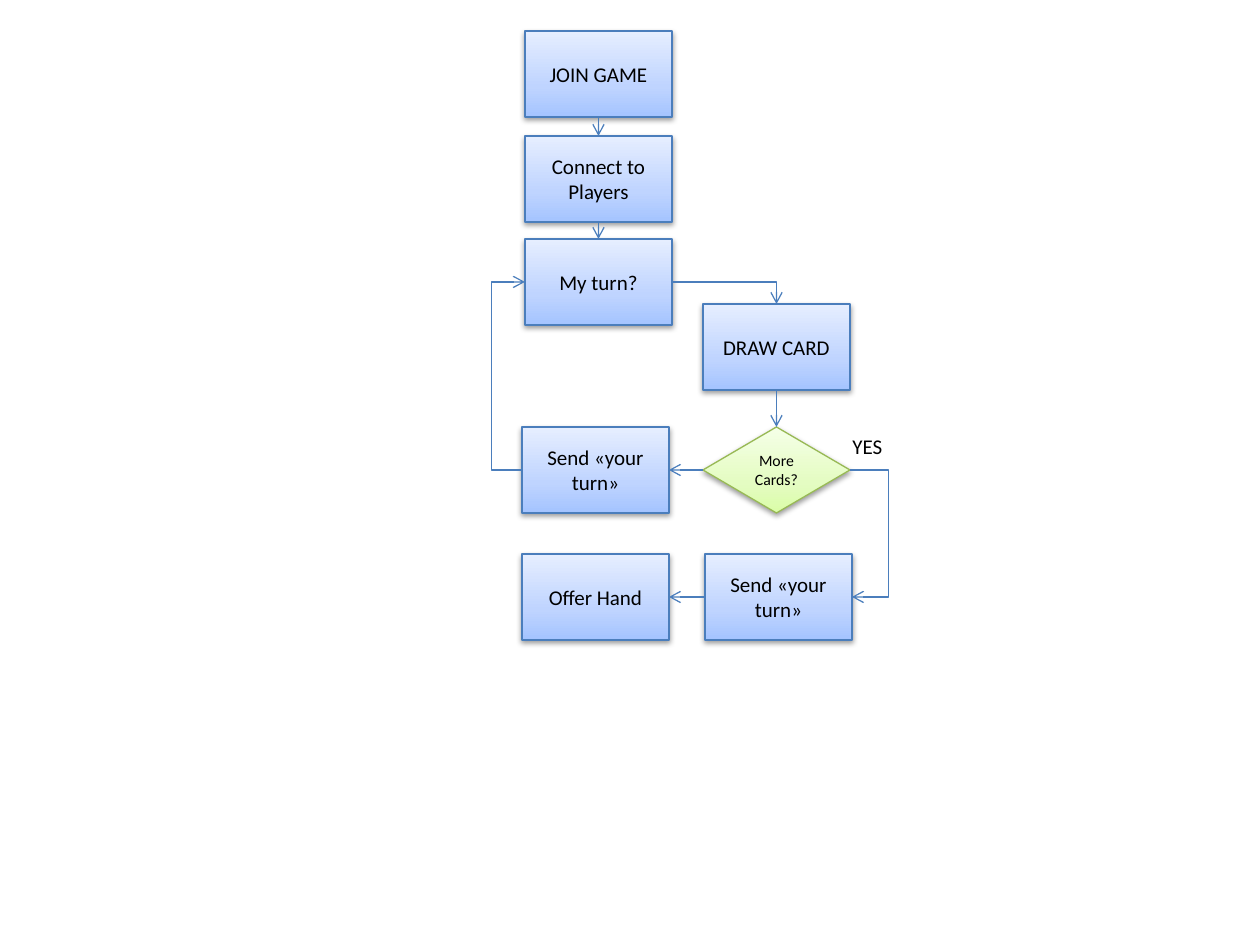
from dataclasses import dataclass

from lxml.etree import SubElement
from pptx import Presentation
from pptx.dml.color import RGBColor
from pptx.enum.shapes import MSO_CONNECTOR, MSO_SHAPE
from pptx.enum.text import MSO_ANCHOR, MSO_AUTO_SIZE, PP_ALIGN
from pptx.oxml.ns import qn
from pptx.util import Inches, Pt

PX = Inches(1) // 126
TOP, LEFT, BOTTOM, RIGHT = range(4)


@dataclass(frozen=True)
class Theme:
    font: str = "Calibri"
    text: str = "000000"
    label_size: int = 12
    decision_size: int = 9
    line_width: float = 0.75
    step_line: str = "4B7EBC"
    step_stops: tuple = ((0, "A4C4FF"), (35, "BFD4FF"), (100, "E6EEFF"))
    decision_line: str = "98B955"
    decision_stops: tuple = ((0, "DAFDA7"), (35, "E4FCC2"), (100, "F5FFE7"))


def add_color(parent, rgb):
    return SubElement(parent, qn("a:srgbClr"), val=rgb)


class Flowchart:
    NODE_WIDTH, NODE_HEIGHT = 147, 86

    def __init__(self, slide, theme):
        self.slide = slide
        self.theme = theme

    def step(self, label, left, top):
        return self._node(MSO_SHAPE.RECTANGLE, label, left, top, self.theme.label_size,
                          self.theme.step_line, self.theme.step_stops)

    def decision(self, label, left, top):
        return self._node(MSO_SHAPE.DIAMOND, label, left, top, self.theme.decision_size,
                          self.theme.decision_line, self.theme.decision_stops)

    def _node(self, outline, label, left, top, size, line_color, stops):
        node = self.slide.shapes.add_shape(
            outline, left * PX, top * PX, self.NODE_WIDTH * PX, self.NODE_HEIGHT * PX)
        self._gradient(node, stops)
        self._stroke(node.line, line_color)
        self._shadow(node)
        node.text_frame.vertical_anchor = MSO_ANCHOR.MIDDLE
        self._write(node.text_frame, label, size, PP_ALIGN.CENTER)
        return node

    def caption(self, label, left, top, width, height):
        box = self.slide.shapes.add_textbox(left * PX, top * PX, width * PX, height * PX)
        box.text_frame.word_wrap = False
        box.text_frame.auto_size = MSO_AUTO_SIZE.SHAPE_TO_FIT_TEXT
        self._write(box.text_frame, label, self.theme.label_size, PP_ALIGN.LEFT)

    def arrow(self, source, source_side, target, target_side):
        return self._connect(MSO_CONNECTOR.STRAIGHT, source, source_side, target, target_side)

    def corner_arrow(self, source, source_side, target, target_side):
        """Arrow with a single right-angle bend."""
        arrow = self._connect(MSO_CONNECTOR.ELBOW, source, source_side, target, target_side)
        arrow._element.spPr.find(qn("a:prstGeom")).set("prst", "bentConnector2")

    def loop_arrow(self, source, source_side, target, target_side, via_x):
        """Arrow whose vertical run lies at via_x, outside both nodes."""
        arrow = self._connect(MSO_CONNECTOR.ELBOW, source, source_side, target, target_side)
        bend = (via_x * PX - arrow.begin_x) / (arrow.end_x - arrow.begin_x)
        geometry = arrow._element.spPr.find(qn("a:prstGeom"))
        guides = geometry.find(qn("a:avLst"))
        SubElement(guides, qn("a:gd"), name="adj1", fmla=f"val {round(bend * 100000)}")

    def _connect(self, kind, source, source_side, target, target_side):
        arrow = self.slide.shapes.add_connector(kind, 0, 0, 0, 0)
        arrow.begin_connect(source, source_side)
        arrow.end_connect(target, target_side)
        self._stroke(arrow.line, self.theme.step_line)
        SubElement(arrow.line._get_or_add_ln(), qn("a:tailEnd"), type="arrow")
        SubElement(arrow._element.spPr, qn("a:effectLst"))
        return arrow

    def _stroke(self, line, color):
        line.color.rgb = RGBColor.from_string(color)
        line.width = Pt(self.theme.line_width)

    def _gradient(self, node, stops):
        node.fill.gradient()
        node.fill.gradient_angle = 90
        stop_list = node._element.spPr.find(qn("a:gradFill")).find(qn("a:gsLst"))
        for default_stop in list(stop_list):
            stop_list.remove(default_stop)
        for percent, color in stops:
            add_color(SubElement(stop_list, qn("a:gs"), pos=str(percent * 1000)), color)

    def _shadow(self, node):
        effects = SubElement(node._element.spPr, qn("a:effectLst"))
        shadow = SubElement(effects, qn("a:outerShdw"), blurRad="40000", dist="20000",
                            dir="5400000", rotWithShape="0")
        SubElement(add_color(shadow, "000000"), qn("a:alpha"), val="38000")

    def _write(self, frame, label, size, alignment):
        frame.text = label
        paragraph = frame.paragraphs[0]
        paragraph.alignment = alignment
        paragraph.font.name = self.theme.font
        paragraph.font.size = Pt(size)
        paragraph.font.color.rgb = RGBColor.from_string(self.theme.text)


def main():
    presentation = Presentation()
    presentation.slide_width = Inches(10)
    presentation.slide_height = Inches(7.5)
    chart = Flowchart(presentation.slides.add_slide(presentation.slide_layouts[6]), Theme())

    join = chart.step("JOIN GAME", 525, 31)
    connect = chart.step("Connect to Players", 525, 136)
    my_turn = chart.step("My turn?", 525, 239)
    draw = chart.step("DRAW CARD", 703, 304)
    more_cards = chart.decision("More Cards?", 703, 427)
    pass_turn = chart.step("Send «your turn»", 522, 427)
    send_turn = chart.step("Send «your turn»", 705, 554)
    offer = chart.step("Offer Hand", 522, 554)

    chart.arrow(join, BOTTOM, connect, TOP)
    chart.arrow(connect, BOTTOM, my_turn, TOP)
    chart.corner_arrow(my_turn, RIGHT, draw, TOP)
    chart.arrow(draw, BOTTOM, more_cards, TOP)
    chart.arrow(more_cards, LEFT, pass_turn, RIGHT)
    chart.loop_arrow(pass_turn, LEFT, my_turn, LEFT, via_x=491)
    chart.loop_arrow(more_cards, RIGHT, send_turn, RIGHT, via_x=889)
    chart.arrow(send_turn, LEFT, offer, RIGHT)
    chart.caption("YES", 840, 427, 55, 38)

    presentation.save("out.pptx")


if __name__ == "__main__":
    main()
